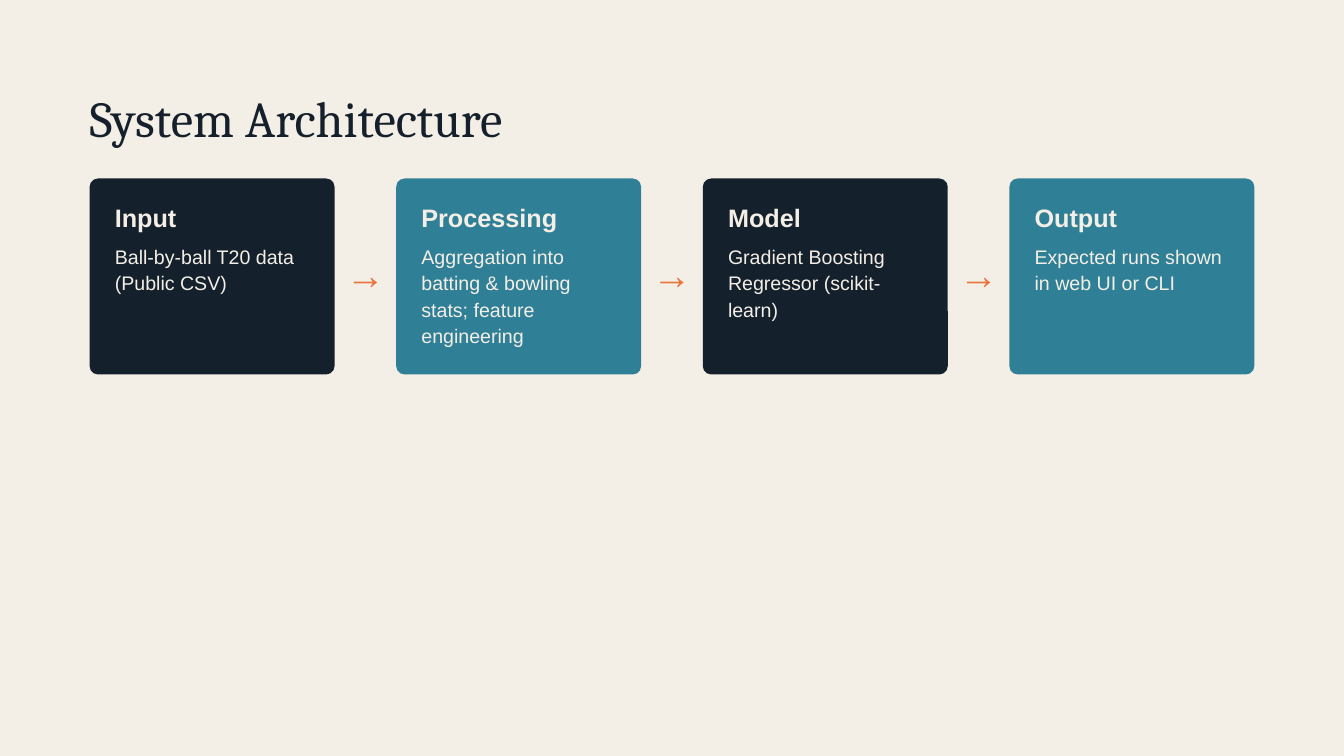
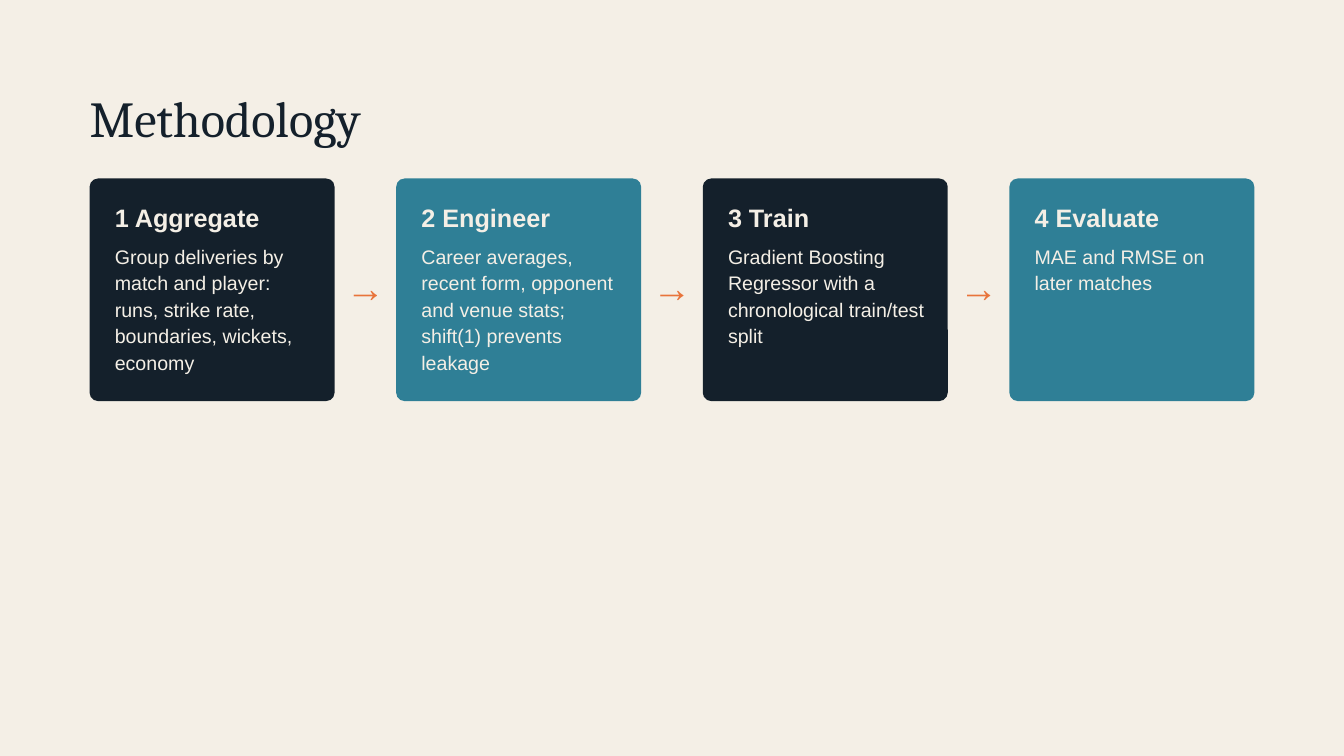
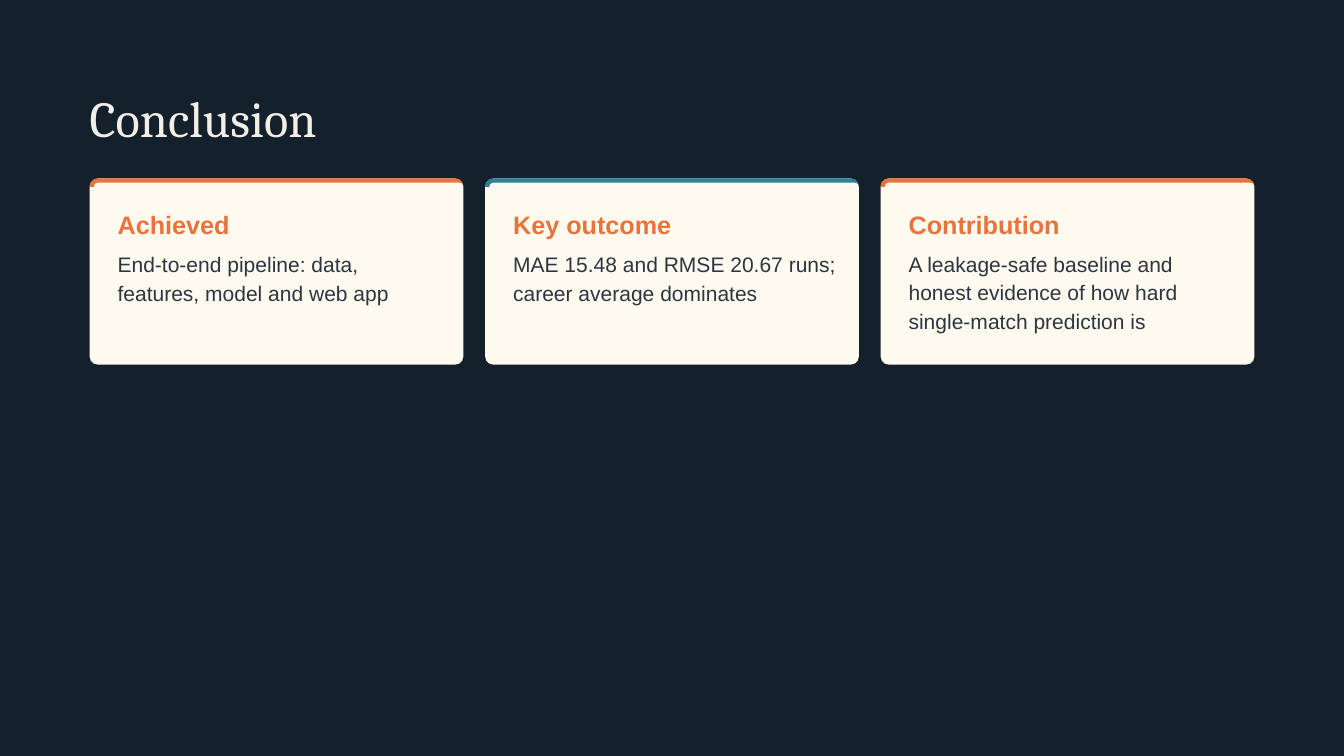
from dataclasses import dataclass
from math import cos, radians, sin

from pptx import Presentation
from pptx.dml.color import RGBColor
from pptx.enum.shapes import MSO_SHAPE
from pptx.enum.text import MSO_AUTO_SIZE
from pptx.util import Pt

ROUNDED = MSO_SHAPE.ROUNDED_RECTANGLE
GROW = MSO_AUTO_SIZE.SHAPE_TO_FIT_TEXT
EMU_PER_PX = 9525


@dataclass(frozen=True)
class TextStyle:
    font: str
    size: float
    leading: float
    bold: bool = False


class Theme:
    navy = "14202B"
    teal = "2F7F96"
    orange = "E8743B"
    sand = "F4EFE6"
    cream = "FFFAF0"
    slate = "2B3640"

    title = TextStyle("Cambria", 54, 59.4)
    heading = TextStyle("Arial", 27, 32.4, bold=True)
    step_body = TextStyle("Arial", 21, 28.4)
    finding_body = TextStyle("Arial", 22.5, 30.4)
    arrow = TextStyle("Arial", 42, 58.8)


# Layout in px
SLIDE_W, SLIDE_H = 1920, 1080
CONTENT_X, CONTENT_Y, CONTENT_W = 128, 255, 1664
RADIUS, STRIP = 12, 6

# Each card: heading, body, number of body lines
ARCHITECTURE = [
    ("Input", "Ball-by-ball T20 data (Public CSV)", 2),
    ("Processing", "Aggregation into batting & bowling stats; feature engineering", 4),
    ("Model", "Gradient Boosting Regressor (scikit-learn)", 3),
    ("Output", "Expected runs shown in web UI or CLI", 2),
]
METHODOLOGY = [
    ("1 Aggregate", "Group deliveries by match and player: runs, strike rate, "
     "boundaries, wickets, economy", 5),
    ("2 Engineer", "Career averages, recent form, opponent and venue stats; "
     "shift(1) prevents leakage", 5),
    ("3 Train", "Gradient Boosting Regressor with a chronological train/test split", 4),
    ("4 Evaluate", "MAE and RMSE on later matches", 2),
]
CONCLUSION = [
    ("Achieved", "End-to-end pipeline: data, features, model and web app", 2),
    ("Key outcome", "MAE 15.48 and RMSE 20.67 runs; career average dominates", 2),
    ("Contribution", "A leakage-safe baseline and honest evidence of how hard "
     "single-match prediction is", 3),
]


def px(length):
    return round(length * EMU_PER_PX)


def paint(shape, color):
    shape.shadow.inherit = False
    shape.fill.solid()
    shape.fill.fore_color.rgb = RGBColor.from_string(color)
    shape.line.fill.background()


def add_text(slide, box, text, style, color):
    frame = slide.shapes.add_textbox(*map(px, box)).text_frame
    frame.margin_left = frame.margin_top = frame.margin_right = frame.margin_bottom = 0
    frame.word_wrap = True
    frame.auto_size = GROW
    frame.text = text
    paragraph = frame.paragraphs[0]
    paragraph.line_spacing = Pt(style.leading)
    font = paragraph.runs[0].font
    font.name, font.size, font.bold = style.font, Pt(style.size), style.bold
    font.color.rgb = RGBColor.from_string(color)


def add_panel(slide, box, color):
    panel = slide.shapes.add_shape(ROUNDED, *map(px, box))
    panel.adjustments[0] = RADIUS / min(box[2:])
    paint(panel, color)


def arc(center_x, center_y, radius, start, end, steps=12):
    """Points from one angle to another, in degrees, with y pointing down."""
    angles = [radians(start + (end - start) * i / steps) for i in range(steps + 1)]
    return [(px(center_x + radius * cos(a)), px(center_y + radius * sin(a)))
            for a in angles]


def add_strip(slide, x, y, width, color):
    """Coloured top edge that follows the rounded corners of a card."""
    outline = (arc(RADIUS, RADIUS, RADIUS, 180, 270)
               + arc(width - RADIUS, RADIUS, RADIUS, 270, 360)
               + arc(width - STRIP, RADIUS, STRIP, 360, 270)
               + arc(RADIUS, RADIUS, STRIP, 270, 180))
    builder = slide.shapes.build_freeform(*outline[0])
    builder.add_line_segments(outline[1:], close=True)
    paint(builder.convert_to_shape(px(x), px(y)), color)


def step_card(slide, box, step, color):
    x, y, width, _ = box
    heading, body, lines = step
    add_panel(slide, box, color)
    add_text(slide, (x + 36, y + 34, width - 64, 49), heading, Theme.heading, Theme.sand)
    add_text(slide, (x + 36, y + 90, width - 64, 38 * lines + 7), body,
             Theme.step_body, Theme.sand)


def finding_card(slide, box, finding, accent):
    x, y, width, _ = box
    heading, body, lines = finding
    add_panel(slide, box, Theme.cream)
    add_strip(slide, x, y, width, accent)
    add_text(slide, (x + 40, y + 44, width - 67, 49), heading, Theme.heading, Theme.orange)
    add_text(slide, (x + 40, y + 100, width - 67, 40 * lines + 10), body,
             Theme.finding_body, Theme.slate)


def card_row(count, gap, height):
    """Boxes of equal width that fill the content area."""
    width = (CONTENT_W - gap * (count - 1)) // count
    return [(CONTENT_X + i * (width + gap), CONTENT_Y, width, height)
            for i in range(count)]


def titled_slide(prs, title, background, ink):
    slide = prs.slides.add_slide(prs.slide_layouts[6])
    fill = slide.background.fill
    fill.solid()
    fill.fore_color.rgb = RGBColor.from_string(background)
    add_text(slide, (CONTENT_X, 132, 1714, 79), title, Theme.title, ink)
    return slide


def flow_slide(prs, title, steps):
    slide = titled_slide(prs, title, Theme.sand, Theme.navy)
    height = 128 + 38 * max(lines for _, _, lines in steps)
    boxes = card_row(len(steps), 88, height)
    for i, (box, step) in enumerate(zip(boxes, steps)):
        step_card(slide, box, step, (Theme.navy, Theme.teal)[i % 2])
        # Arrow to the next step
        if i < len(steps) - 1:
            x, y, width, _ = box
            add_text(slide, (x + width + 16, y + height // 2 - 49, 67, 92), "→",
                     Theme.arrow, Theme.orange)


def findings_slide(prs, title, findings):
    slide = titled_slide(prs, title, Theme.navy, Theme.sand)
    for i, (box, finding) in enumerate(zip(card_row(len(findings), 31, 266), findings)):
        finding_card(slide, box, finding, (Theme.orange, Theme.teal)[i % 2])


def main():
    prs = Presentation()
    prs.slide_width, prs.slide_height = px(SLIDE_W), px(SLIDE_H)
    flow_slide(prs, "System Architecture", ARCHITECTURE)
    flow_slide(prs, "Methodology", METHODOLOGY)
    findings_slide(prs, "Conclusion", CONCLUSION)
    prs.save("out.pptx")


if __name__ == "__main__":
    main()
